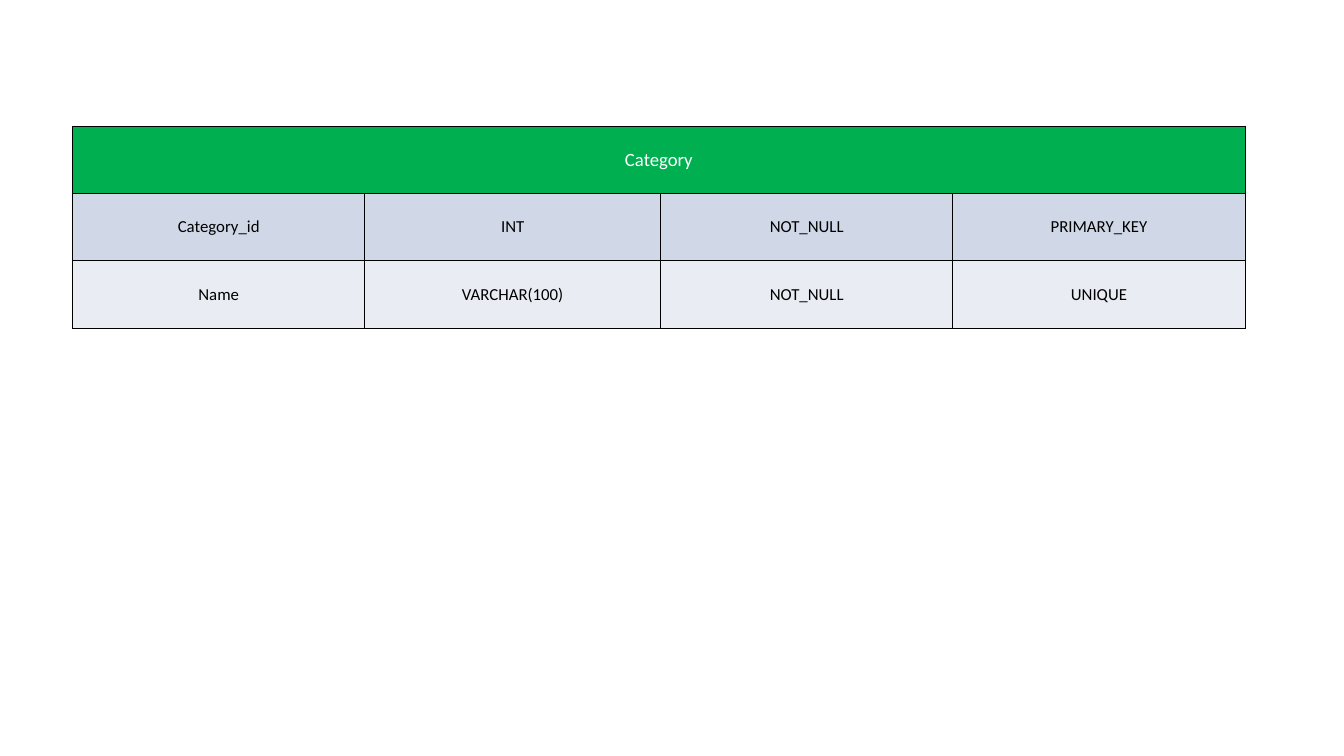
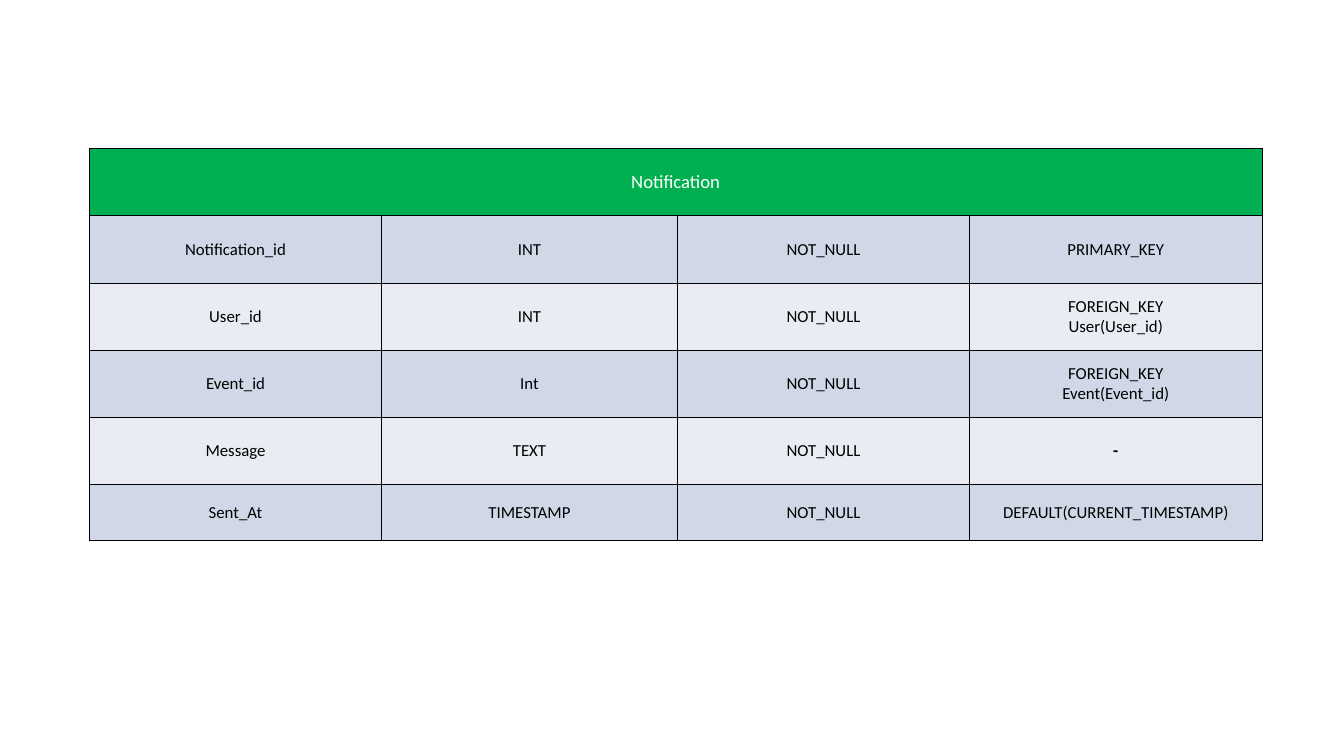
from dataclasses import dataclass

from lxml.etree import SubElement
from pptx import Presentation
from pptx.dml.color import RGBColor
from pptx.enum.text import MSO_ANCHOR, PP_ALIGN
from pptx.oxml.ns import qn
from pptx.util import Inches, Pt


@dataclass(frozen=True)
class Theme:
    font: str = "Calibri"
    header_size: float = 20
    field_size: float = 18
    header_text: str = "FFFFFF"
    field_text: str = "000000"
    header_fill: str = "00B050"
    band_fills: tuple = ("D0D8E7", "E9ECF3")
    border: str = "000000"
    border_width: float = 0.96


THEME = Theme()
COLUMN_WIDTHS = (4.35, 4.4, 4.35, 4.35)
ROW_HEIGHT = 1
CELL_FORMAT = {
    "margin_left": 0,
    "margin_right": 0,
    "margin_top": 0,
    "margin_bottom": 0,
    "vertical_anchor": MSO_ANCHOR.MIDDLE,
}

CATEGORY_FIELDS = [
    ("Category_id", "INT", "NOT_NULL", "PRIMARY_KEY"),
    ("Name", "VARCHAR(100)", "NOT_NULL", "UNIQUE"),
]
NOTIFICATION_FIELDS = [
    ("Notification_id", "INT", "NOT_NULL", "PRIMARY_KEY"),
    ("User_id", "INT", "NOT_NULL", "FOREIGN_KEY\nUser(User_id)"),
    ("Event_id", "Int", "NOT_NULL", "FOREIGN_KEY\nEvent(Event_id)"),
    ("Message", "TEXT", "NOT_NULL", "-"),
    ("Sent_At", "TIMESTAMP", "NOT_NULL", "DEFAULT(CURRENT_TIMESTAMP)"),
]


def set_format(target, values):
    for name, value in values.items():
        setattr(target, name, value)


def add_borders(cell):
    properties = cell._tc.get_or_add_tcPr()
    for side in ("a:lnL", "a:lnR", "a:lnT", "a:lnB"):
        line = SubElement(properties, qn(side), w=str(Pt(THEME.border_width)))
        fill = SubElement(line, qn("a:solidFill"))
        SubElement(fill, qn("a:srgbClr"), val=THEME.border)


def style_cell(cell, fill, text="", size=THEME.field_size, color=THEME.field_text):
    set_format(cell, CELL_FORMAT)
    add_borders(cell)
    cell.fill.solid()
    cell.fill.fore_color.rgb = RGBColor.from_string(fill)
    cell.text = text
    font_format = {"name": THEME.font, "size": Pt(size), "bold": text == "-"}
    for paragraph in cell.text_frame.paragraphs:
        paragraph.alignment = PP_ALIGN.CENTER
        set_format(paragraph.font, font_format)
        for run in paragraph.runs:
            set_format(run.font, font_format)
            run.font.color.rgb = RGBColor.from_string(color)


def add_entity(slide, left, top, entity, fields, last_height=ROW_HEIGHT):
    heights = [ROW_HEIGHT] * len(fields) + [last_height]
    box = [Inches(length) for length in (left, top, sum(COLUMN_WIDTHS), sum(heights))]
    schema = slide.shapes.add_table(len(heights), len(COLUMN_WIDTHS), *box).table
    set_format(schema, {"first_row": False, "horz_banding": False})
    for column, width in zip(schema.columns, COLUMN_WIDTHS):
        column.width = Inches(width)
    for row, height in zip(schema.rows, heights):
        row.height = Inches(height)

    header_cells = list(schema.rows[0].cells)
    header_cells[0].merge(header_cells[-1])
    for cell in header_cells[1:]:
        style_cell(cell, THEME.header_fill)
    style_cell(header_cells[0], THEME.header_fill, entity, THEME.header_size, THEME.header_text)

    for index, field in enumerate(fields):
        band = THEME.band_fills[index % len(THEME.band_fills)]
        for cell, text in zip(schema.rows[index + 1].cells, field):
            style_cell(cell, band, text)


def main():
    deck = Presentation()
    set_format(deck, {"slide_width": Inches(20), "slide_height": Inches(11.25)})
    blank = deck.slide_layouts[6]
    add_entity(deck.slides.add_slide(blank), 1.08, 1.88, "Category", CATEGORY_FIELDS)
    add_entity(deck.slides.add_slide(blank), 1.33, 2.21, "Notification", NOTIFICATION_FIELDS, 0.83)
    deck.save("out.pptx")


if __name__ == "__main__":
    main()
